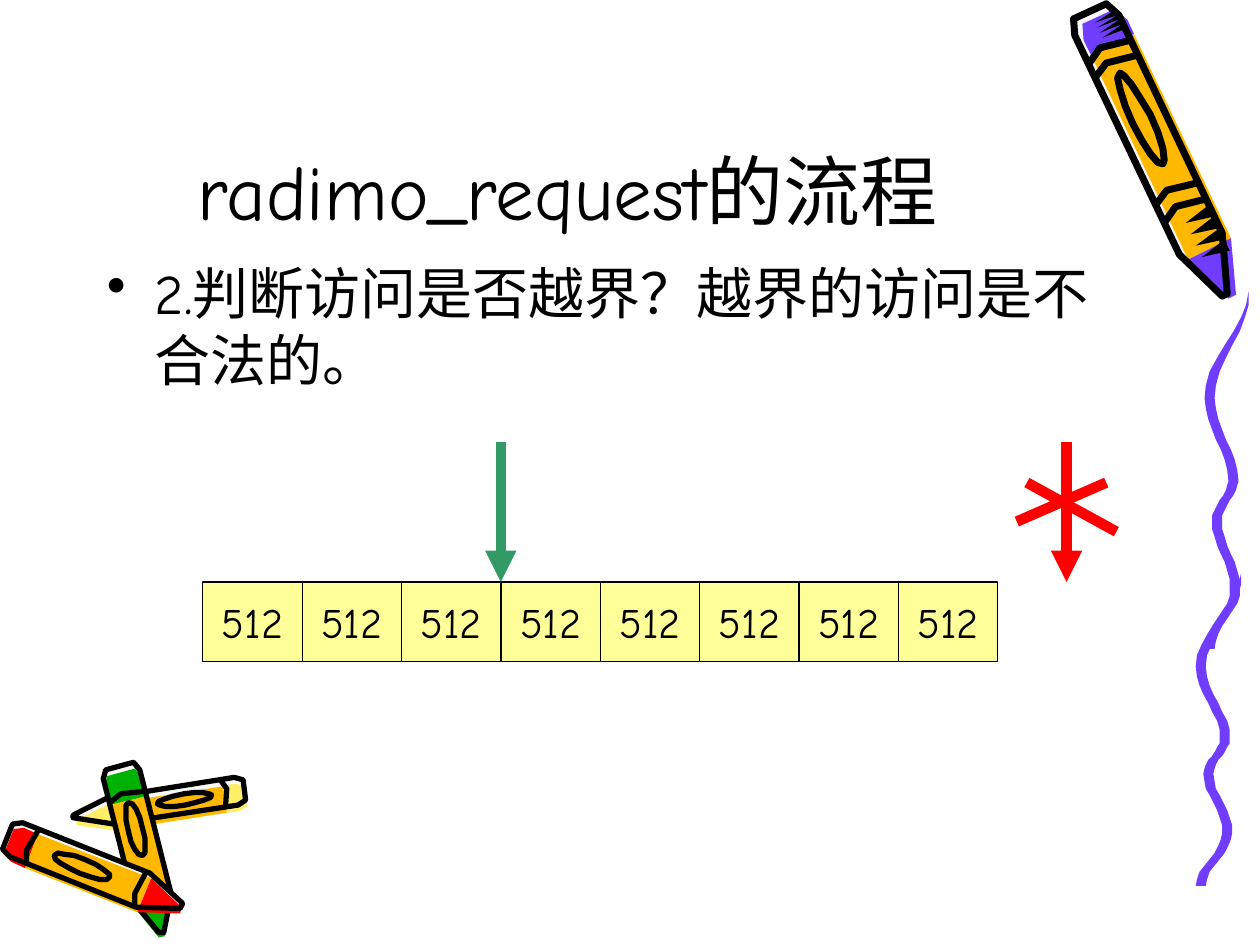
from dataclasses import dataclass
from itertools import pairwise
from math import cos, hypot, pi, sin

from lxml.etree import SubElement
from pptx import Presentation
from pptx.dml.color import RGBColor as Rgb
from pptx.enum.shapes import MSO_CONNECTOR as Connector, MSO_SHAPE as Shape
from pptx.enum.text import MSO_ANCHOR as Anchor, PP_ALIGN as Align
from pptx.oxml.ns import qn
from pptx.util import Inches, Pt

FONT = "Comic Neue"
COLORS = {
    "black": "000000", "white": "F8F8F8", "purple": "703DFF", "orange": "FFB800",
    "lemon": "FFEF66", "red": "FF0000", "green": "00B200", "cell": "FFFF99",
    "arrow": "339966",
}
COLUMNS, ROWS = 1000, 750  # fine grid laid over the whole slide
UNIT = Inches(10) // COLUMNS

# Turning points of the squiggle, as shares of its box
BENDS = [(1, 0), (0.11, 0.3), (0.65, 0.53), (0.28, 0.64), (0.7, 0.83), (0.12, 1)]


@dataclass
class Crayon:
    """Places along the axis are shares of its length, places across are shares of width."""
    tail: tuple
    tip: tuple
    width: float
    color: str
    bands: tuple
    cap: float          # end of the coloured tail
    shoulder: float     # start of the cone
    label: float        # middle of the oval label
    ink: float          # stroke width in points
    shift: tuple        # the colour is printed this far off the outline
    jagged: bool = False

    def place(self, along, across):
        (x, y), (tip_x, tip_y) = self.tail, self.tip
        dx, dy = tip_x - x, tip_y - y
        side = across * self.width / hypot(dx, dy)
        return x + along * dx - side * dy, y + along * dy + side * dx

    def outline(self, start=0.0, end=1.0):
        """Both sides of the crayon between two places on its axis."""
        profile = [(0, 0.38), (0.05, 0.5), (self.shoulder, 0.5), (1, 0.06)]

        def half_width(along):
            for (a, wide), (b, narrow) in pairwise(profile):
                if along <= b:
                    return wide + (narrow - wide) * (along - a) / (b - a)

        stops = [start] + [a for a, _ in profile if start < a < end] + [end]
        sides = [(a, half_width(a)) for a in stops]
        return ([self.place(a, half) for a, half in sides]
                + [self.place(a, -half) for a, half in reversed(sides)])

    def oval(self, length=0.32, width=0.4, steps=16):
        angles = [2 * pi * step / steps for step in range(steps)]
        return [self.place(self.label + length / 2 * cos(a), width / 2 * sin(a)) for a in angles]

    def teeth(self, start, end, depth, count=4):
        """Jagged ink growing inwards from one long side."""
        step = (end - start) / (2 * count)
        return [self.place(start + i * step, -0.5 + depth * (i % 2)) for i in range(2 * count + 1)]


BIG_CRAYON = Crayon((25, 9), (132, 234), 38, "purple", (0.13, 0.18, 0.63, 0.69),
                    0.1, 0.82, 0.38, 4, (7, 4), jagged=True)
SMALL_CRAYONS = [
    Crayon((194, 27), (58, 48), 22, "lemon", (0.11,), 0.12, 0.78, 0.35, 3, (1, 5)),
    Crayon((95, 8), (128, 140), 30, "green", (0.17,), 0.17, 0.8, 0.38, 3, (1, 5)),
    Crayon((6, 64), (144, 119), 29, "red", (0.13, 0.75), 0.13, 0.78, 0.43, 3, (1, 4)),
]


def color(name):
    return Rgb.from_string(COLORS[name])


def grid(*steps):
    return [int(step * UNIT) for step in steps]


def add_outline(shapes, origin, points, fill=None, ink=None, close=True):
    left, top = origin
    points = [(left + x, top + y) for x, y in points]
    builder = shapes.build_freeform(*points[0], scale=UNIT)
    builder.add_line_segments(points[1:], close=close)
    shape = builder.convert_to_shape()
    shape.shadow.inherit = False
    for part, name in ((shape.fill, fill), (shape.line.fill, ink and "black")):
        if name:
            part.solid()
            part.fore_color.rgb = color(name)
        else:
            part.background()
    if ink:
        shape.line.width = Pt(ink)


def add_line(shapes, start, end, color_name, arrow=False):
    line = shapes.add_connector(Connector.STRAIGHT, *grid(*start, *end))
    line.line.color.rgb = color(color_name)
    line.line.width = Pt(6)
    if arrow:
        SubElement(line.line._get_or_add_ln(), qn("a:tailEnd"), type="triangle")
    SubElement(line._element.spPr, qn("a:effectLst"))


def write_text(text_frame, text, size):
    text_frame.text = text
    paragraph = text_frame.paragraphs[0]
    font = paragraph.runs[0].font
    font.name, font.size = FONT, Pt(size)
    font.color.rgb = color("black")
    return paragraph


def draw_crayon(slide, box, crayon):
    left, top = box[:2]
    origin = left, top
    printed = left + crayon.shift[0], top + crayon.shift[1]
    shapes = slide.shapes.add_group_shape().shapes
    # Paper, then colour printed slightly off it
    add_outline(shapes, origin, crayon.outline(), fill="white")
    sections = [(0.0, crayon.cap, crayon.color),
                (crayon.cap, crayon.shoulder, "orange"),
                (crayon.shoulder, 0.99, crayon.color)]
    for start, end, name in sections:
        add_outline(shapes, printed, crayon.outline(start, end), fill=name)
    # Ink
    add_outline(shapes, origin, crayon.outline(), ink=crayon.ink)
    add_outline(shapes, origin, crayon.oval(), ink=crayon.ink)
    for band in crayon.bands:
        curve = [crayon.place(band + bow, across)
                 for bow, across in ((0.02, 0.5), (-0.01, 0.15), (0.01, -0.5))]
        add_outline(shapes, origin, curve, ink=crayon.ink, close=False)
    if crayon.jagged:
        for start, end, depth in ((0.03, 0.1, 0.5), (0.72, 0.88, 0.6)):
            add_outline(shapes, origin, crayon.teeth(start, end, depth), fill="black")


def draw_squiggle(slide, box, thickness=8, steps=8):
    left, top, width, height = box
    centre = []
    for (x, y), (next_x, next_y) in pairwise(BENDS):
        for step in range(steps):
            share = step / steps
            ease = (1 - cos(pi * share)) / 2
            centre.append((x + (next_x - x) * ease, y + (next_y - y) * share))
    centre.append(BENDS[-1])
    # The ribbon starts as a point and widens to its full thickness
    ribbon = [(x * width, y * height, thickness / 2 * min(1, 5 * y)) for x, y in centre]
    points = ([(x - half, y) for x, y, half in ribbon]
              + [(x + half, y) for x, y, half in reversed(ribbon)])
    add_outline(slide.shapes, (left, top), points, fill="purple")


def draw_title(slide, box):
    text_frame = slide.shapes.add_textbox(*grid(*box)).text_frame
    text_frame.word_wrap = True
    text_frame.vertical_anchor = Anchor.BOTTOM
    write_text(text_frame, "radimo_request的流程", 44).alignment = Align.CENTER


def draw_body(slide, box):
    text_frame = slide.shapes.add_textbox(*grid(*box)).text_frame
    text_frame.word_wrap = True
    paragraph = write_text(text_frame, "2.判断访问是否越界？越界的访问是不合法的。", 32)
    paragraph.space_before = Pt(6.4)
    properties = paragraph._p.get_or_add_pPr()
    properties.set("marL", str(Inches(0.38)))
    properties.set("indent", str(-Inches(0.38)))
    SubElement(properties, qn("a:buChar"), char="•")


def draw_sectors(slide, box, count=8):
    left, top, width, height = box
    cell_width = width / count
    group = slide.shapes.add_group_shape()
    for index in range(count):
        cell = group.shapes.add_shape(
            Shape.RECTANGLE, *grid(left + index * cell_width, top, cell_width, height))
        cell.shadow.inherit = False
        cell.fill.solid()
        cell.fill.fore_color.rgb = color("cell")
        cell.line.color.rgb = color("black")
        cell.line.width = Pt(0.75)
        cell.text_frame.word_wrap = False
        cell.text_frame.vertical_anchor = Anchor.MIDDLE
        write_text(cell.text_frame, "512", 24).alignment = Align.CENTER


def draw_access(slide, box, color_name, crossed=False):
    left, top, width, height = box
    middle = left + width / 2
    shapes = slide.shapes.add_group_shape().shapes
    add_line(shapes, (middle, top), (middle, top + height), color_name, arrow=True)
    if crossed:
        add_line(shapes, (left, top + 63), (left + 71, top + 32), color_name)
        add_line(shapes, (left + 8, top + 32), (left + width, top + 71), color_name)


def main():
    presentation = Presentation()
    presentation.slide_width, presentation.slide_height = grid(COLUMNS, ROWS)
    slide = presentation.slides.add_slide(presentation.slide_layouts[6])
    # Crayon decoration
    for crayon in SMALL_CRAYONS:
        draw_crayon(slide, (0, 600, 200, 150), crayon)
    for box in ((949, 455, 36, 248), (956, 231, 35, 284)):
        draw_squiggle(slide, box)
    draw_crayon(slide, (840, 0, 145, 240), BIG_CRAYON)
    # Text
    draw_title(slide, (75, 17, 751, 175))
    draw_body(slide, (75, 200, 842, 400))
    # Sector diagram with a valid and an out-of-range access
    draw_sectors(slide, (161, 462, 631, 63))
    draw_access(slide, (358, 351, 79, 111), "arrow")
    draw_access(slide, (807, 351, 79, 111), "red", crossed=True)
    presentation.save("out.pptx")


if __name__ == "__main__":
    main()
